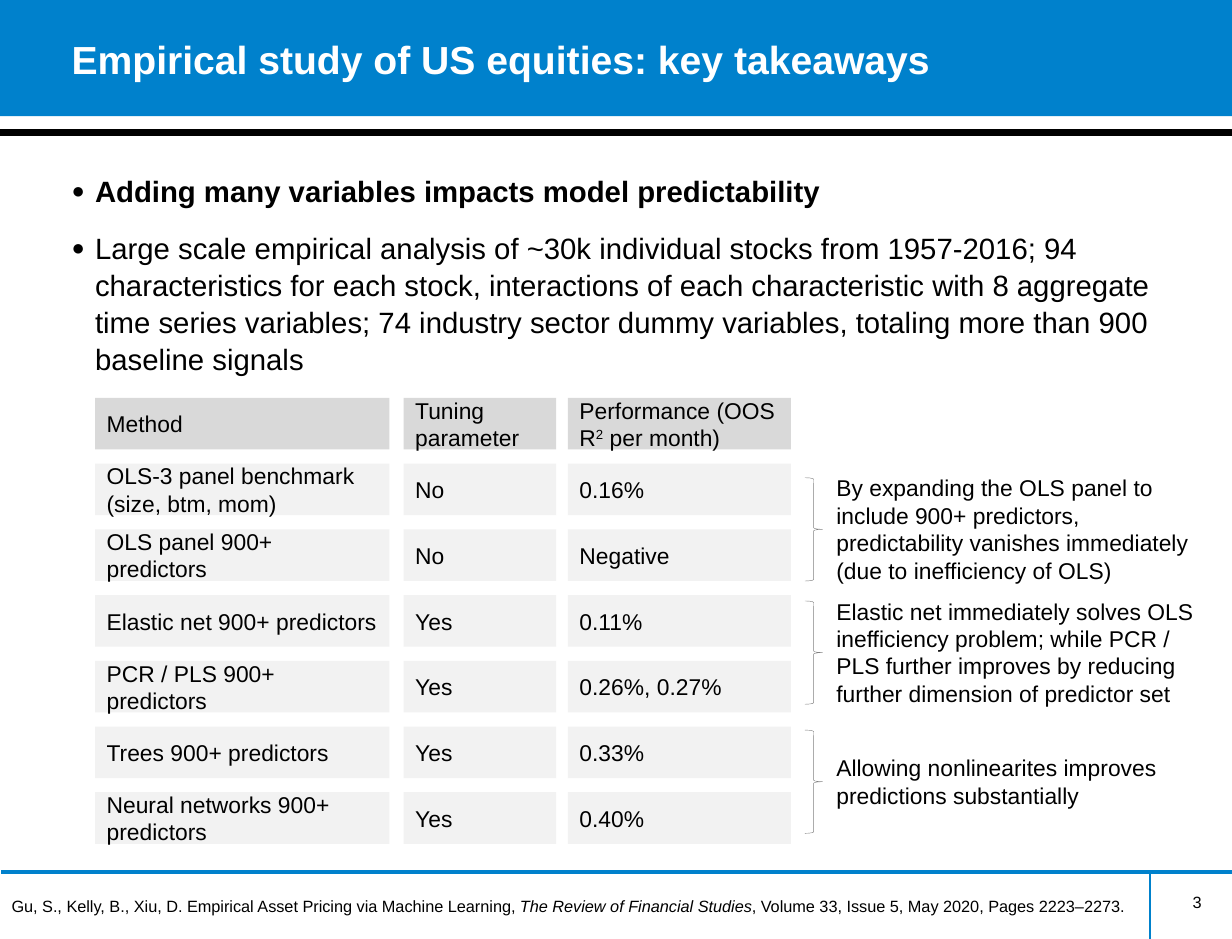
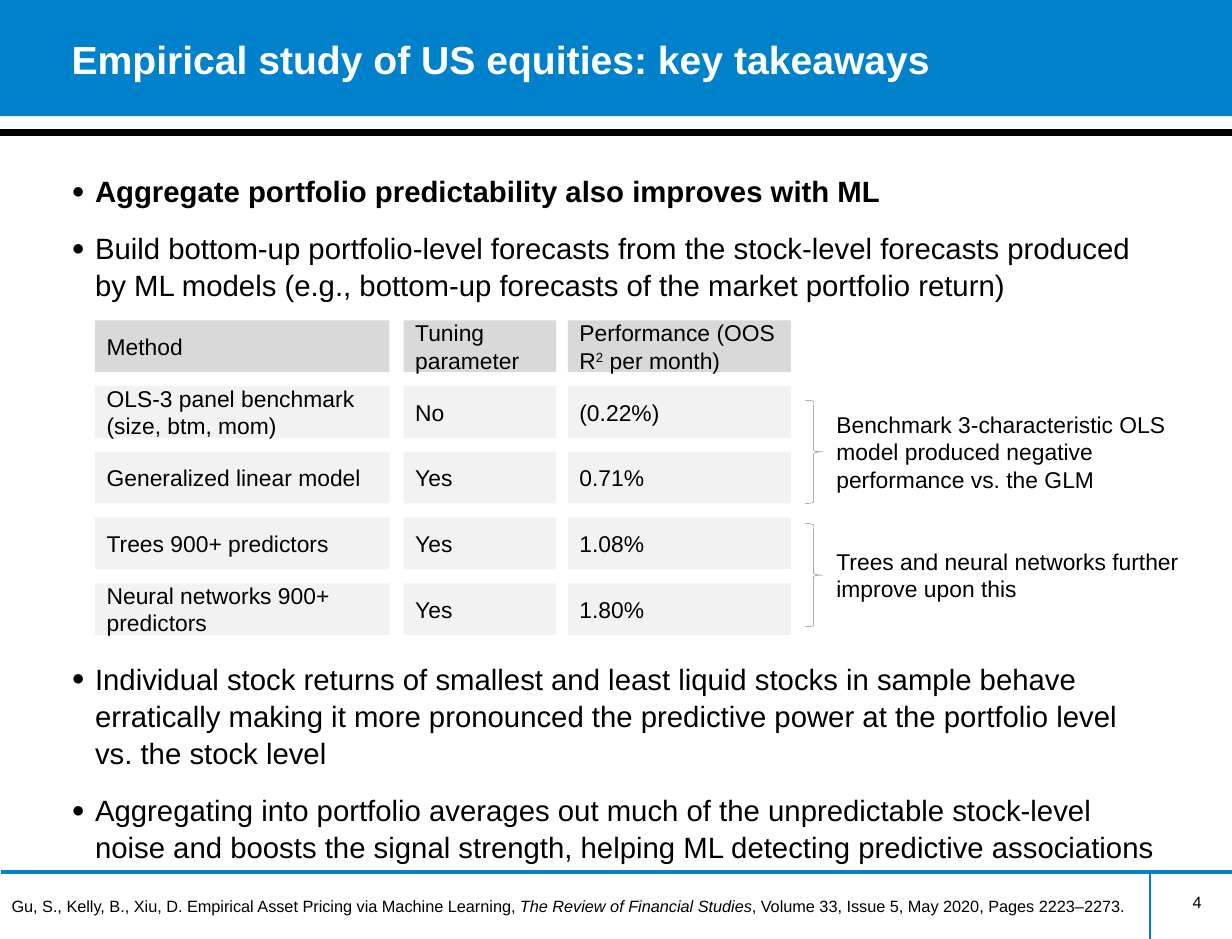
from lxml.etree import SubElement
from pptx import Presentation
from pptx.dml.color import RGBColor
from pptx.enum.shapes import MSO_CONNECTOR, MSO_SHAPE
from pptx.enum.text import MSO_ANCHOR as Anchor, MSO_AUTO_SIZE as AutoSize, PP_ALIGN as Align
from pptx.oxml.ns import qn
from pptx.util import Inches, Pt

BLUE, BLACK, WHITE = "0081CC", "000000", "FFFFFF"
HEADER_GRAY, CELL_GRAY, BRACE_GRAY = "D9D9D9", "F2F2F2", "808080"
FONT = "Arial"

TITLE = "Empirical study of US equities: key takeaways"
HEADERS = ["Method", "Tuning parameter",
           ["Performance (OOS R", ("2", {"superscript": True}), " per month)"]]
CITATION = ["Gu, S., Kelly, B., Xiu, D. Empirical Asset Pricing via Machine Learning, ",
            ("The Review of Financial Studies", {"italic": True}),
            ", Volume 33, Issue 5, May 2020, Pages 2223–2273."]

COLUMNS = [(0.81, 2.51), (3.44, 1.3), (4.84, 1.9)]  # left, width
ROW_HEIGHT, ROW_PITCH = 0.44, 0.56
BRACE_HEIGHT = 0.88
NOTE_LINE, NOTE_PADDING = 0.235, 0.1

BENCHMARK = "OLS-3 panel benchmark (size, btm, mom)"
TREES = "Trees 900+ predictors"
NETWORKS = "Neural networks 900+ predictors"


def rgb(hex_color):
    return RGBColor.from_string(hex_color)


def write(paragraph, text, *, size=14, color=BLACK, bold=False, italic=False,
          superscript=False):
    """Add one formatted run to the paragraph."""
    run = paragraph.add_run()
    run.text = text
    font = run.font
    font.name, font.size, font.bold, font.italic = FONT, Pt(size), bold, italic
    font.color.rgb = rgb(color)
    if superscript:
        run._r.get_or_add_rPr().set("baseline", "30000")


def write_parts(paragraph, parts, **style):
    """Write a string, or a list of strings and (string, format) pairs."""
    for part in [parts] if isinstance(parts, str) else parts:
        text, own = (part, {}) if isinstance(part, str) else part
        write(paragraph, text, **{**style, **own})


def add_bullet(paragraph):
    properties = paragraph._p.get_or_add_pPr()
    properties.set("marL", str(Inches(0.2)))
    properties.set("indent", str(-Inches(0.2)))
    SubElement(properties, qn("a:buSzPct"), val="75000")
    SubElement(properties, qn("a:buFont"), typeface=FONT)
    SubElement(properties, qn("a:buChar"), char="●")


def place(shape, left, top, width, height):
    shape.left, shape.top = Inches(left), Inches(top)
    shape.width, shape.height = Inches(width), Inches(height)


class Deck:
    """Holds the presentation, its shared style and the current slide."""

    def __init__(self):
        self.presentation = Presentation()
        self.presentation.slide_width = Inches(10.5)
        self.presentation.slide_height = Inches(8)
        self.slide = None

    def new_slide(self, number):
        layout = self.presentation.slide_layouts.get_by_name("Title and Content")
        self.slide = self.presentation.slides.add_slide(layout)
        self.frame()
        self.title(TITLE)
        self.text(str(number), 7.89, 7.55, 2.45, 0.34, size=10, align=Align.RIGHT)
        self.text(CITATION, 0, 7.59, 9.83, 0.27, size=10)

    def frame(self):
        """Draw the title band and the rules behind the placeholders."""
        band = self.shape(MSO_SHAPE.RECTANGLE, 0, 0, 10.5, 0.99, fill=BLUE)
        rules = [self.line(0, 1.13, 10.5, 1.13, BLACK, 4),
                 self.line(0.01, 7.43, 10.51, 7.43, BLUE, 2),
                 self.line(9.8, 7.43, 9.8, 8, BLUE, 1)]
        for part in [band, *rules]:
            self.slide.shapes.title.element.addprevious(part.element)

    def title(self, text):
        title = self.slide.shapes.title
        place(title, 0.5, 0.05, 9.5, 0.9)
        frame = self.prepare(title, Anchor.MIDDLE, 0.11)
        frame.paragraphs[0].alignment = Align.LEFT
        write(frame.paragraphs[0], text, size=24, color=WHITE, bold=True)

    def bullets(self, heading, *points):
        """Fill the body; each point is (text, space before in points)."""
        body = self.slide.placeholders[1]
        place(body, 0.5, 1.41, 9.5, 5.74)
        frame = self.prepare(body, Anchor.TOP, 0.11)
        for index, (text, gap) in enumerate([(heading, 0), *points]):
            paragraph = frame.paragraphs[0] if index == 0 else frame.add_paragraph()
            add_bullet(paragraph)
            paragraph.line_spacing = 1.05
            paragraph.space_before, paragraph.space_after = Pt(gap), Pt(0)
            write(paragraph, text, size=18, bold=index == 0)

    def prepare(self, holder, anchor, side_inset=0.1):
        frame = holder.text_frame
        frame.word_wrap, frame.auto_size = True, AutoSize.NONE
        frame.vertical_anchor = anchor
        frame.margin_left = frame.margin_right = Inches(side_inset)
        frame.margin_top = frame.margin_bottom = Inches(0.05)
        return frame

    def text(self, parts, left, top, width, height, align=Align.LEFT, **style):
        box = self.slide.shapes.add_textbox(
            Inches(left), Inches(top), Inches(width), Inches(height))
        paragraph = self.prepare(box, Anchor.TOP).paragraphs[0]
        paragraph.alignment = align
        write_parts(paragraph, parts, **style)

    def shape(self, preset, left, top, width, height, fill=None, line=None):
        shape = self.slide.shapes.add_shape(
            preset, Inches(left), Inches(top), Inches(width), Inches(height))
        shape.shadow.inherit = False
        if fill:
            shape.fill.solid()
            shape.fill.fore_color.rgb = rgb(fill)
        else:
            shape.fill.background()
        if line:
            shape.line.color.rgb = rgb(line)
            shape.line.width = Pt(0.25)
        else:
            shape.line.fill.background()
        return shape

    def line(self, x1, y1, x2, y2, color, width):
        line = self.slide.shapes.add_connector(
            MSO_CONNECTOR.STRAIGHT, Inches(x1), Inches(y1), Inches(x2), Inches(y2))
        line.line.color.rgb = rgb(color)
        line.line.width = Pt(width)
        SubElement(line.element.spPr, qn("a:effectLst"))
        return line

    def method_grid(self, top, rows):
        for index, row in enumerate([HEADERS, *rows]):
            fill = HEADER_GRAY if index == 0 else CELL_GRAY
            for (left, width), parts in zip(COLUMNS, row):
                cell = self.shape(MSO_SHAPE.RECTANGLE, left, top + index * ROW_PITCH,
                                  width, ROW_HEIGHT, fill=fill)
                paragraph = self.prepare(cell, Anchor.MIDDLE).paragraphs[0]
                paragraph.alignment = Align.LEFT
                write_parts(paragraph, parts)

    def braced_note(self, top, text, lines):
        """Draw a brace with a note of so many lines centred beside it."""
        self.shape(MSO_SHAPE.RIGHT_BRACE, 6.86, top, 0.15, BRACE_HEIGHT, line=BRACE_GRAY)
        height = lines * NOTE_LINE + NOTE_PADDING
        self.text(text, 7.03, top + (BRACE_HEIGHT - height) / 2, 3.3, height)


def stock_level_slide(deck):
    deck.new_slide(3)
    deck.bullets(
        "Adding many variables impacts model predictability",
        ("Large scale empirical analysis of ~30k individual stocks from 1957-2016; "
         "94 characteristics for each stock, interactions of each characteristic with "
         "8 aggregate time series variables; 74 industry sector dummy variables, "
         "totaling more than 900 baseline signals", 12.6))
    deck.method_grid(3.39, [
        (BENCHMARK, "No", "0.16%"),
        ("OLS panel 900+ predictors", "No", "Negative"),
        ("Elastic net 900+ predictors", "Yes", "0.11%"),
        ("PCR / PLS 900+ predictors", "Yes", "0.26%, 0.27%"),
        (TREES, "Yes", "0.33%"),
        (NETWORKS, "Yes", "0.40%"),
    ])
    deck.braced_note(4.07, "By expanding the OLS panel to include 900+ predictors, "
                     "predictability vanishes immediately (due to inefficiency of OLS)", 4)
    deck.braced_note(5.12, "Elastic net immediately solves OLS inefficiency problem; "
                     "while PCR / PLS further improves by reducing further dimension "
                     "of predictor set", 4)
    deck.braced_note(6.22, "Allowing nonlinearites improves predictions substantially", 2)


def portfolio_level_slide(deck):
    deck.new_slide(4)
    deck.bullets(
        "Aggregate portfolio predictability also improves with ML",
        ("Build bottom-up portfolio-level forecasts from the stock-level forecasts "
         "produced by ML models (e.g., bottom-up forecasts of the market portfolio "
         "return)", 12.6),
        ("Individual stock returns of smallest and least liquid stocks in sample behave "
         "erratically making it more pronounced the predictive power at the portfolio "
         "level vs. the stock level", 218.5),
        ("Aggregating into portfolio averages out much of the unpredictable stock-level "
         "noise and boosts the signal strength, helping ML detecting predictive "
         "associations", 12.6))
    deck.method_grid(2.73, [
        (BENCHMARK, "No", "(0.22%)"),
        ("Generalized linear model", "Yes", "0.71%"),
        (TREES, "Yes", "1.08%"),
        (NETWORKS, "Yes", "1.80%"),
    ])
    deck.braced_note(3.41, "Benchmark 3-characteristic OLS model produced negative "
                     "performance vs. the GLM", 3)
    deck.braced_note(4.46, "Trees and neural networks further improve upon this", 2)


def main():
    deck = Deck()
    stock_level_slide(deck)
    portfolio_level_slide(deck)
    deck.presentation.save("out.pptx")


if __name__ == "__main__":
    main()
